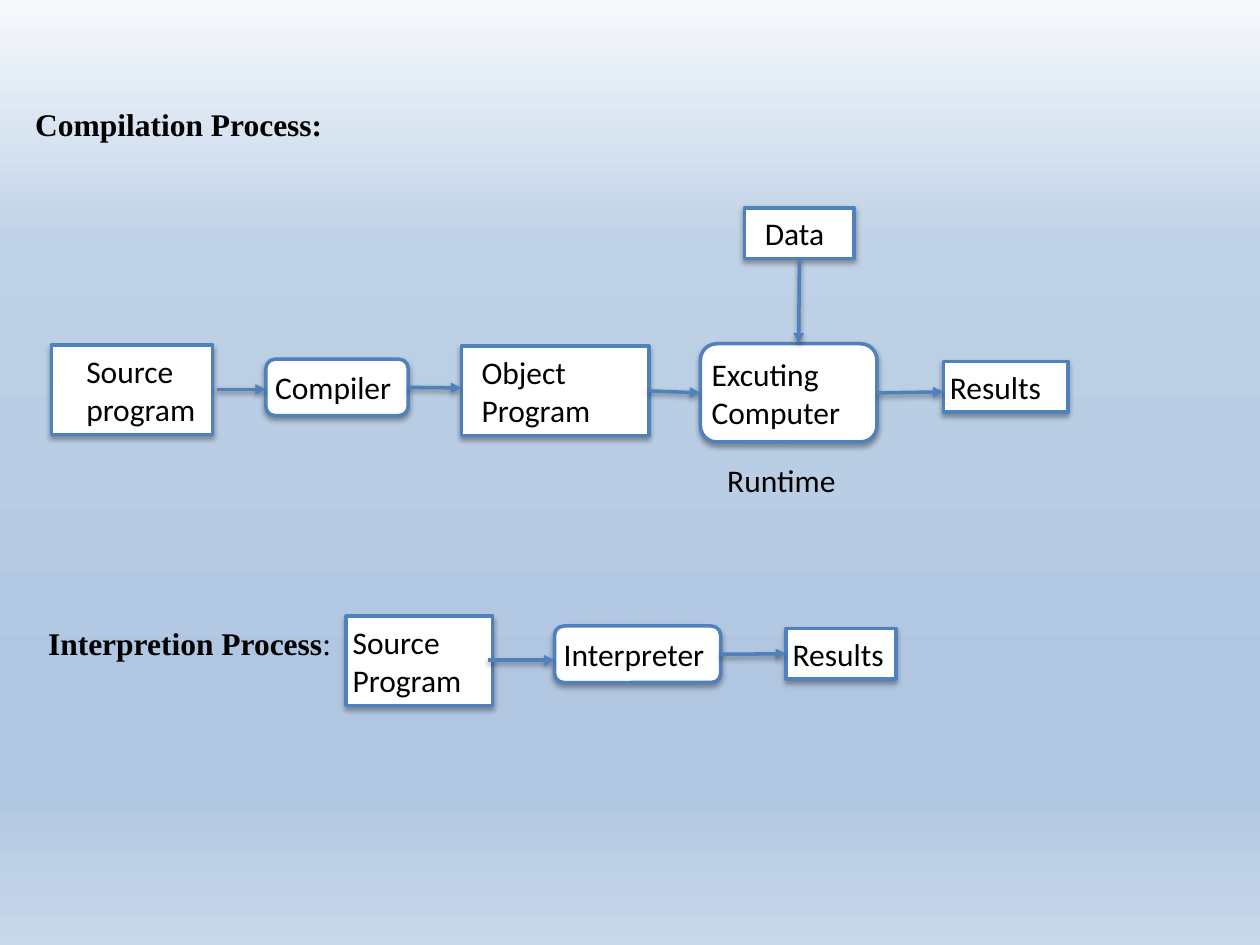
from lxml import etree
from pptx import Presentation
from pptx.dml.color import RGBColor
from pptx.enum import shapes, text
from pptx.oxml import parse_xml
from pptx.oxml.ns import nsdecls, qn
from pptx.util import Cm, Pt

COLORS = {"ink": "000000", "box": "FFFFFF", "line": "4F81BD"}
BACKGROUND = [(0, "F6F9FC"), (26, "C0D2E7"), (47, "B9CDE4"), (74, "B0C6E1"),
              (83, "B0C6E1"), (96, "C3D4E8"), (100, "CAD9EB")]
BODY, SERIF = "Calibri", "Times New Roman"
RECT, ROUND = shapes.MSO_SHAPE.RECTANGLE, shapes.MSO_SHAPE.ROUNDED_RECTANGLE
BOTTOM, LEFT, RIGHT = 2, 1, 3

# Positions and sizes in cm: left, top, width, height
TITLE = ("Compilation Process:", (0.58, 1.98, 7.01, 1.8))
HEADING = ("Interpretion Process", ":", (0.84, 12.45, 6.53, 1.8))
RUNTIME = ("Runtime", (14.53, 9.17, 2.54, 1.02))

# name: (lines, preset, place, text indent)
BOXES = {
    "source": (["Source", "program"], RECT, (1.04, 6.96, 3.25, 1.8), 0.57),
    "compiler": (["Compiler"], ROUND, (5.36, 7.24, 2.87, 1.14), 0),
    "object": (["Object", "Program"], RECT, (9.3, 6.98, 3.78, 1.8), 0.28),
    "computer": (["Excuting", "Computer"], ROUND, (14.12, 6.93, 3.56, 1.98), 0),
    "data": (["Data"], RECT, (15.01, 4.19, 2.21, 1.02), 0.28),
    "results": (["Results"], RECT, (19.02, 7.29, 2.51, 1.02), 0),
    "source 2": (["Source", "Program"], RECT, (6.98, 12.42, 2.95, 1.8), 0),
    "interpreter": (["Interpreter"], ROUND, (11.18, 12.62, 3.35, 1.14), 0),
    "results 2": (["Results"], RECT, (15.85, 12.67, 2.21, 1.02), 0),
}

# (from, to, joined start, joined end); a join is (box, side) or None
ARROWS = [
    ((4.37, 7.85), (5.36, 7.85), None, None),
    ((8.23, 7.82), (9.3, 7.82), ("compiler", RIGHT), None),
    ((13.08, 7.9), (14.12, 7.9), ("object", RIGHT), ("computer", LEFT)),
    ((16.1, 5.21), (16.1, 6.93), ("data", BOTTOM), None),
    ((17.68, 7.92), (19.02, 7.9), ("computer", RIGHT), None),
    ((9.83, 13.31), (11.18, 13.31), None, None),
    ((14.53, 13.18), (15.85, 13.18), ("interpreter", RIGHT), ("results 2", LEFT)),
]


def rgb(name):
    return RGBColor.from_string(COLORS[name])


def cm(values):
    return [Cm(v) for v in values]


def write(tf, lines, font=BODY, bold=False, indent=0, anchor=text.MSO_ANCHOR.TOP):
    """Fill a text frame; each line is a list of runs or a single string."""
    tf.word_wrap = True
    tf.auto_size = text.MSO_AUTO_SIZE.NONE
    tf.vertical_anchor = anchor
    tf.margin_top = tf.margin_right = tf.margin_bottom = Cm(0.13)
    tf.margin_left = Cm(0.13 + indent)
    for i, line in enumerate(lines):
        p = tf.add_paragraph() if i else tf.paragraphs[0]
        p.alignment = text.PP_ALIGN.LEFT
        for j, part in enumerate([line] if isinstance(line, str) else line):
            r = p.add_run()
            r.text = part
            r.font.name, r.font.size = font, Pt(18)
            r.font.bold = bold and j == 0
            r.font.color.rgb = rgb("ink")


def outline(sp, shadow_alpha, shadow_distance):
    """Give a shape or connector its line and a soft shadow below."""
    sp.line.color.rgb = rgb("line")
    sp.line.width = Pt(2)
    sp.element.spPr.append(parse_xml(
        f'<a:effectLst {nsdecls("a")}><a:outerShdw blurRad="{Pt(3)}" '
        f'dist="{Pt(shadow_distance)}" dir="5400000" rotWithShape="0">'
        f'<a:srgbClr val="{COLORS["ink"]}"><a:alpha val="{shadow_alpha * 1000}"/>'
        '</a:srgbClr></a:outerShdw></a:effectLst>'))


def add_box(s, lines, preset, place, indent):
    sp = s.shapes.add_shape(preset, *cm(place))
    sp.fill.solid()
    sp.fill.fore_color.rgb = rgb("box")
    outline(sp, 35, 1.8)
    write(sp.text_frame, lines, indent=indent, anchor=text.MSO_ANCHOR.MIDDLE)
    return sp


def add_arrow(s, boxes, start, end, start_join, end_join):
    line = s.shapes.add_connector(shapes.MSO_CONNECTOR.STRAIGHT, *cm(start + end))
    if start_join:
        line.begin_connect(boxes[start_join[0]], start_join[1])
    if end_join:
        line.end_connect(boxes[end_join[0]], end_join[1])
    outline(line, 38, 1.6)
    etree.SubElement(line.element.spPr.find(qn("a:ln")), qn("a:tailEnd"), type="triangle")


def paint_background(s):
    s.background.fill.solid()
    solid = s.element.find(".//" + qn("p:bgPr")).find(qn("a:solidFill"))
    stops = "".join(f'<a:gs pos="{pos * 1000}"><a:srgbClr val="{color}"/></a:gs>'
                    for pos, color in BACKGROUND)
    solid.getparent().replace(solid, parse_xml(
        f'<a:gradFill {nsdecls("a")}><a:gsLst>{stops}</a:gsLst>'
        '<a:lin ang="5400000" scaled="0"/></a:gradFill>'))


def main():
    prs = Presentation()
    prs.slide_width, prs.slide_height = Cm(25.4), Cm(19.05)
    s = prs.slides.add_slide(prs.slide_layouts[5])
    paint_background(s)

    title = s.shapes.title
    title.left, title.top, title.width, title.height = cm(TITLE[1])
    write(title.text_frame, [TITLE[0]], font=SERIF, bold=True)

    boxes = {name: add_box(s, *box) for name, box in BOXES.items()}
    for arrow in ARROWS:
        add_arrow(s, boxes, *arrow)

    runtime = s.shapes.add_textbox(*cm(RUNTIME[1]))
    write(runtime.text_frame, [RUNTIME[0]])
    heading = s.shapes.add_textbox(*cm(HEADING[2]))
    write(heading.text_frame, [HEADING[:2]], font=SERIF, bold=True)
    prs.save("out.pptx")


if __name__ == "__main__":
    main()
